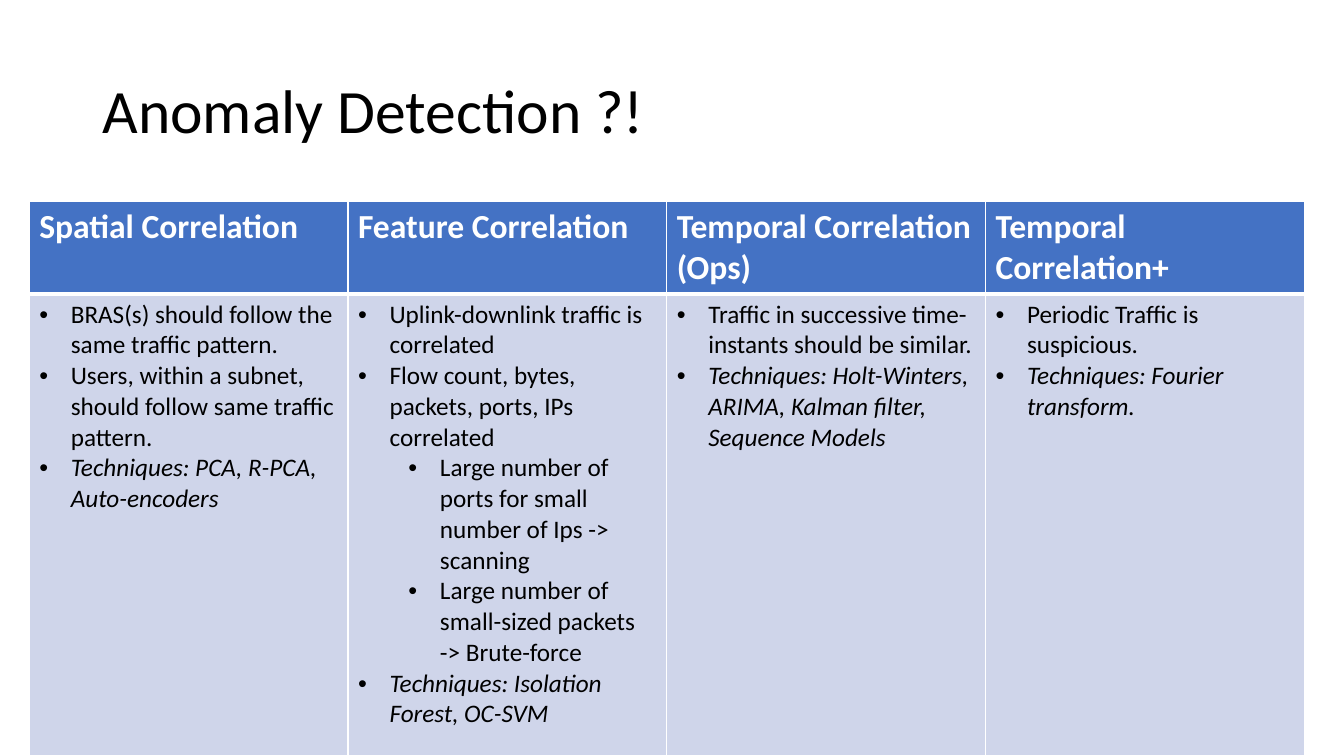
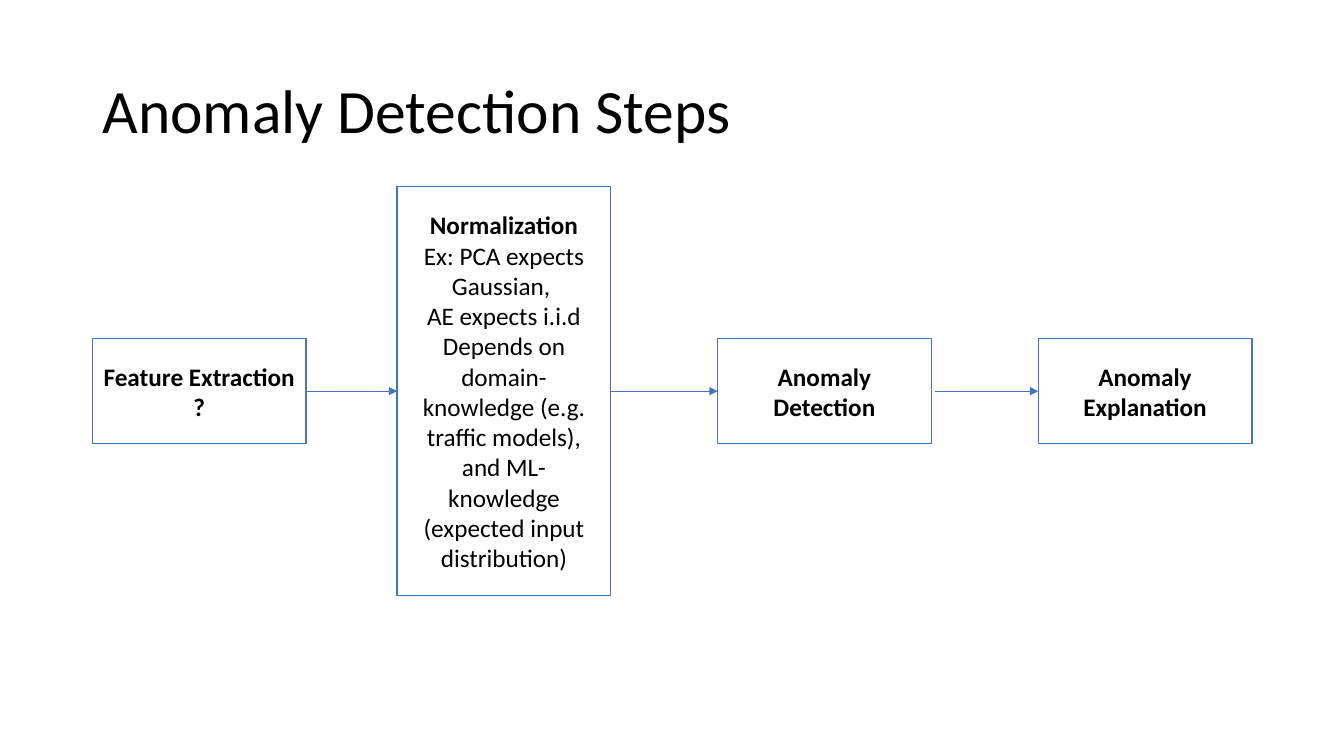
from dataclasses import dataclass

from lxml import etree
from pptx import Presentation
from pptx.dml.color import RGBColor
from pptx.enum.shapes import MSO_CONNECTOR, MSO_SHAPE
from pptx.enum.text import MSO_ANCHOR, MSO_AUTO_SIZE, PP_ALIGN
from pptx.oxml.ns import qn
from pptx.shapes.autoshape import Shape
from pptx.slide import Slide
from pptx.table import _Cell
from pptx.text.text import TextFrame
from pptx.util import Pt

RECTANGLE = MSO_SHAPE.RECTANGLE
STRAIGHT = MSO_CONNECTOR.STRAIGHT
MIDDLE = MSO_ANCHOR.MIDDLE
NO_AUTOFIT = MSO_AUTO_SIZE.NONE
LEFT, CENTER = PP_ALIGN.LEFT, PP_ALIGN.CENTER

BLUE = RGBColor(0x44, 0x72, 0xC4)
PALE_BLUE = RGBColor(0xCF, 0xD5, 0xEA)
WHITE = RGBColor(0xFF, 0xFF, 0xFF)
BLACK = RGBColor(0x00, 0x00, 0x00)

FONT = "Calibri"
TITLE_ONLY = 5
TABLE_LEFT, TABLE_TOP = 20.9, 144
COLUMN_WIDTH, HEADER_HEIGHT, BODY_HEIGHT = 227.7, 66, 330
BULLET_INDENT, LEVEL_INDENT = 22.5, 36
STEP_WIDTH, STEP_MIDDLE = 152.6, 279.4
LEFT_SITE, RIGHT_SITE = 1, 3


@dataclass(frozen=True)
class Bullet:
    text: str
    level: int = 0
    italic: bool = False


@dataclass(frozen=True)
class Correlation:
    heading: str
    bullets: tuple[Bullet, ...]


@dataclass(frozen=True)
class Step:
    left: float
    name: str
    details: tuple[str, ...] = ()
    height: float = 75
    arrow_gap: float = 0


CORRELATIONS = (
    Correlation("Spatial Correlation", (
        Bullet("BRAS(s) should follow the same traffic pattern."),
        Bullet("Users, within a subnet, should follow same traffic pattern."),
        Bullet("Techniques: PCA, R-PCA, Auto-encoders", italic=True),
    )),
    Correlation("Feature Correlation", (
        Bullet("Uplink-downlink traffic is correlated"),
        Bullet("Flow count, bytes, packets, ports, IPs correlated"),
        Bullet("Large number of ports for small number of Ips -> scanning", level=1),
        Bullet("Large number of small-sized packets -> Brute-force", level=1),
        Bullet("Techniques: Isolation Forest, OC-SVM", italic=True),
    )),
    Correlation("Temporal Correlation (Ops)", (
        Bullet("Traffic in successive time-instants should be similar."),
        Bullet("Techniques: Holt-Winters, ARIMA, Kalman filter, Sequence Models",
               italic=True),
    )),
    Correlation("Temporal Correlation+", (
        Bullet("Periodic Traffic is suspicious."),
        Bullet("Techniques: Fourier transform.", italic=True),
    )),
)

STEPS = (
    Step(66, "Feature Extraction ?"),
    Step(283.7, "Normalization", (
        "Ex: PCA expects Gaussian, ",
        "AE expects i.i.d",
        "Depends on domain-knowledge (e.g. traffic models), "
        "and ML-knowledge (expected input distribution)",
    ), height=292.4),
    Step(512.6, "Anomaly Detection", arrow_gap=3),
    Step(741.6, "Anomaly Explanation"),
)


def write(frame: TextFrame, text: str, *, size: float = 18,
          color: RGBColor = BLACK, bold: bool = False, italic: bool = False,
          align: PP_ALIGN = LEFT, spacing: float = 1.0,
          bulleted: bool = False, level: int = 0) -> None:
    """Fill the frame's empty first paragraph, or add one after its text."""
    paragraph = frame.add_paragraph() if frame.text else frame.paragraphs[0]
    paragraph.alignment = align
    paragraph.line_spacing = spacing
    paragraph.level = level
    run = paragraph.add_run()
    run.text = text
    run.font.name = FONT
    run.font.size = Pt(size)
    run.font.bold = bold
    run.font.italic = italic
    run.font.color.rgb = color
    if bulleted:
        properties = paragraph._p.get_or_add_pPr()
        properties.set("marL", str(Pt(BULLET_INDENT + level * LEVEL_INDENT)))
        properties.set("indent", str(-Pt(BULLET_INDENT)))
        etree.SubElement(properties, qn("a:buFont"), typeface="Arial")
        etree.SubElement(properties, qn("a:buChar"), char="•")


def add_titled_slide(deck: Presentation, text: str) -> Slide:
    slide = deck.slides.add_slide(deck.slide_layouts[TITLE_ONLY])
    title = slide.shapes.title
    title.left, title.top = Pt(66), Pt(28.8)
    title.width, title.height = Pt(828), Pt(104.4)
    title.text_frame.vertical_anchor = MIDDLE
    title.text_frame.auto_size = NO_AUTOFIT
    write(title.text_frame, text, size=44, spacing=0.9)
    return slide


def style_cell(cell: _Cell, fill: RGBColor, top: float, bottom: float) -> None:
    """Give a cell its fill and white borders; top and bottom are line widths."""
    properties = cell._tc.get_or_add_tcPr()
    for side, width in (("L", 1), ("R", 1), ("T", top), ("B", bottom)):
        border = etree.SubElement(properties, qn(f"a:ln{side}"), w=str(Pt(width)))
        paint = etree.SubElement(border, qn("a:solidFill"))
        etree.SubElement(paint, qn("a:srgbClr"), val=str(WHITE))
    cell.fill.solid()
    cell.fill.fore_color.rgb = fill


def add_correlation_table(slide: Slide) -> None:
    table = slide.shapes.add_table(
        2, len(CORRELATIONS), Pt(TABLE_LEFT), Pt(TABLE_TOP),
        Pt(COLUMN_WIDTH * len(CORRELATIONS)), Pt(HEADER_HEIGHT + BODY_HEIGHT),
    ).table
    table.horz_banding = False
    table.rows[0].height = Pt(HEADER_HEIGHT)
    table.rows[1].height = Pt(BODY_HEIGHT)
    for index, correlation in enumerate(CORRELATIONS):
        table.columns[index].width = Pt(COLUMN_WIDTH)
        heading, body = table.cell(0, index), table.cell(1, index)
        style_cell(heading, BLUE, top=1, bottom=3)
        style_cell(body, PALE_BLUE, top=3, bottom=1)
        write(heading.text_frame, correlation.heading,
              size=24, color=WHITE, bold=True)
        for bullet in correlation.bullets:
            write(body.text_frame, bullet.text, italic=bullet.italic,
                  bulleted=True, level=bullet.level)


def add_step(slide: Slide, step: Step) -> Shape:
    box = slide.shapes.add_shape(
        RECTANGLE, Pt(step.left), Pt(STEP_MIDDLE - step.height / 2),
        Pt(STEP_WIDTH), Pt(step.height))
    box.shadow.inherit = False
    box.fill.solid()
    box.fill.fore_color.rgb = WHITE
    box.line.color.rgb = BLUE
    box.line.width = Pt(1)
    frame = box.text_frame
    frame.word_wrap = True
    frame.vertical_anchor = MIDDLE
    write(frame, step.name, bold=True, align=CENTER)
    for detail in step.details:
        write(frame, detail, align=CENTER)
    return box


def add_arrow(slide: Slide, source: Shape, target: Shape, gap: float) -> None:
    """Join two boxes, starting the arrow a gap away from the source."""
    start = source.left + source.width + Pt(gap)
    arrow = slide.shapes.add_connector(
        STRAIGHT, start, Pt(STEP_MIDDLE), target.left, Pt(STEP_MIDDLE))
    if not gap:
        arrow.begin_connect(source, RIGHT_SITE)
    arrow.end_connect(target, LEFT_SITE)
    arrow.line.color.rgb = BLUE
    arrow.line.width = Pt(0.5)
    etree.SubElement(arrow.line._get_or_add_ln(), qn("a:tailEnd"), type="triangle")
    etree.SubElement(arrow._element.spPr, qn("a:effectLst"))


def add_step_flow(slide: Slide) -> None:
    boxes = [add_step(slide, step) for step in STEPS]
    for step, source, target in zip(STEPS, boxes, boxes[1:]):
        add_arrow(slide, source, target, step.arrow_gap)


def main() -> None:
    deck = Presentation()
    deck.slide_width, deck.slide_height = Pt(960), Pt(540)
    add_correlation_table(add_titled_slide(deck, "Anomaly Detection ?!"))
    add_step_flow(add_titled_slide(deck, "Anomaly Detection Steps"))
    deck.save("out.pptx")


if __name__ == "__main__":
    main()
